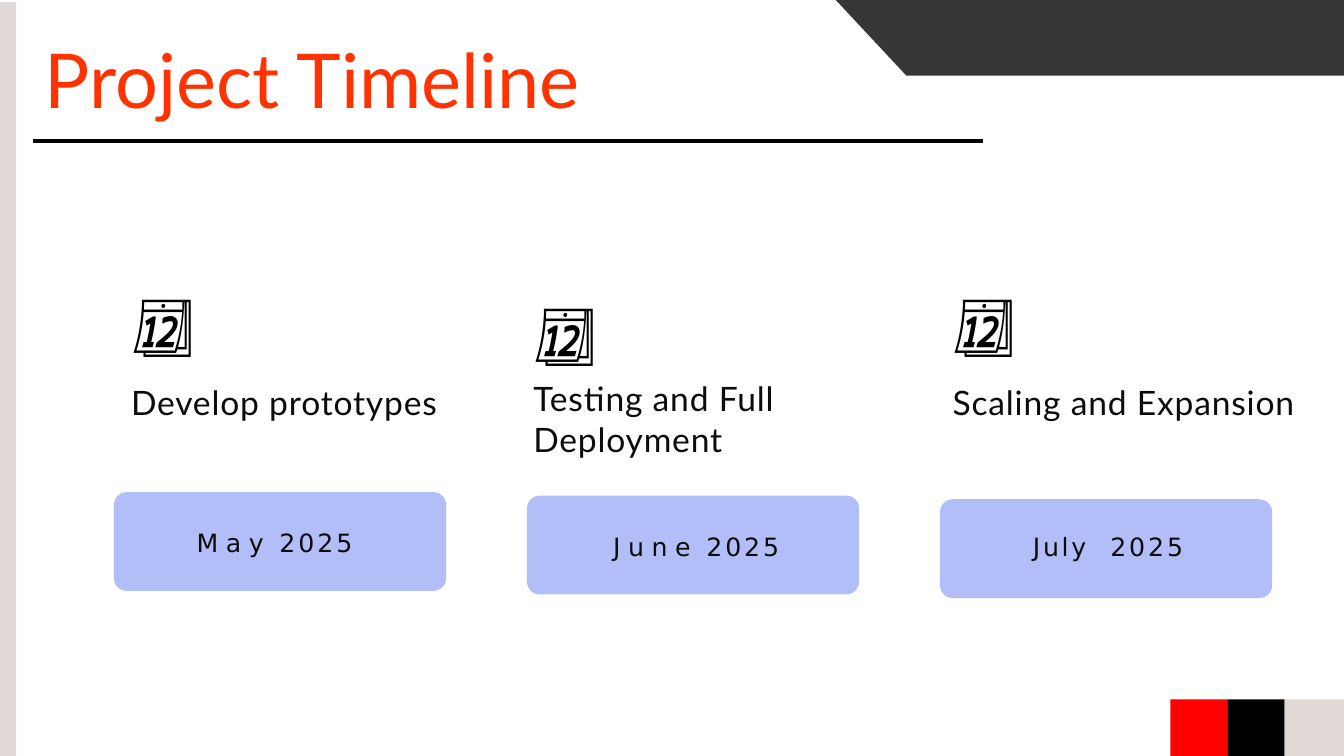
from lxml import etree
from pptx import Presentation, util as u
from pptx.dml.color import RGBColor
from pptx.enum import shapes, text
from pptx.oxml.ns import qn

WIDTH, HEIGHT = u.Inches(13.33), u.Inches(7.5)
INK, CARD, STONE = "0D0C0C", "B2BEF8", "E1D9D6"
CARD_LEFT, CARD_PITCH, CARD_TOP, CARD_STEP = 8.48, 30.73, 65.1, 0.47
SQUARE_LEFT, SQUARE_PITCH = 87.08, 4.25
LEFT, CENTER = text.PP_ALIGN.LEFT, text.PP_ALIGN.CENTER

# label, label box, label line spacing, date runs with tracking, date box, alignment
PHASES = [
    ("Develop prototypes", (9.6, 37.37, 23.56, 18.13), 1.31,
     [("May", 5.4), (" ", 0), ("2025", 2.1)], (14.48, 69.47, 12.38, 4.4), LEFT),
    ("Testing and Full Deployment", (39.53, 38.53, 26.18, 22.4), 1.0,
     [("June", 5.4), (" ", 0), ("2025", 2.1)], (39.53, 70, 24.38, 4.4), CENTER),
    ("Scaling and Expansion", (70.74, 37.37, 26.18, 18.13), 1.31,
     [("July", 1.9), (" ", 9.5), ("2025", 2.1)], (70, 70, 24.75, 4.4), CENTER),
]


def color(value):
    return RGBColor.from_string(value)


def px(percent):
    """Percent of the slide width as a length."""
    return u.Emu(round(WIDTH * percent / 100))


def py(percent):
    """Percent of the slide height as a length."""
    return u.Emu(round(HEIGHT * percent / 100))


def place(x, y, w, h):
    return px(x), py(y), px(w), py(h)


def paint(sp, fill):
    sp.shadow.inherit = False
    sp.fill.solid()
    sp.fill.fore_color.rgb = color(fill)
    sp.line.fill.background()


def add_block(s, box, fill, kind=shapes.MSO_SHAPE.RECTANGLE):
    sp = s.shapes.add_shape(kind, *place(*box))
    paint(sp, fill)
    return sp


def add_banner(s, points, fill):
    (x, y), *rest = [(px(a), py(b)) for a, b in points]
    builder = s.shapes.build_freeform(x, y)
    builder.add_line_segments(rest, close=True)
    paint(builder.convert_to_shape(), fill)


def add_rule(s, x1, x2, y):
    line = s.shapes.add_connector(
        shapes.MSO_CONNECTOR.STRAIGHT, px(x1), py(y), px(x2), py(y))
    line.line.color.rgb = color("000000")
    line.line.width = u.Pt(3)
    etree.SubElement(line._element.spPr, qn("a:effectLst"))


def add_text_frame(s, box):
    """Wrapping text frame with tight margins."""
    tf = s.shapes.add_textbox(*place(*box)).text_frame
    tf.word_wrap = True
    tf.margin_left = tf.margin_top = u.Inches(0.02)
    tf.margin_right = tf.margin_bottom = 0
    return tf


def write(p, runs, font, size, fill):
    """Fill a paragraph with (text, tracking in points) runs."""
    for content, tracking in runs:
        r = p.add_run()
        r.text = content
        r._r.get_or_add_rPr().set("spc", str(round(tracking * 100)))
    p.font.name, p.font.size = font, u.Pt(size)
    p.font.color.rgb = color(fill)


def add_title(s, content):
    tf = s.shapes.add_textbox(*place(2.6, 7.2, 55, 8.4)).text_frame
    tf.word_wrap = True
    p = tf.paragraphs[0]
    p.line_spacing = u.Pt(45.6)
    write(p, [(content, 0)], "Lato", 54, "FF3300")


def add_phase(s, column, label, label_box, spacing, date, date_box, align):
    card = add_block(
        s, (CARD_LEFT + column * CARD_PITCH, CARD_TOP + column * CARD_STEP, 24.72, 13.07),
        CARD, shapes.MSO_SHAPE.ROUNDED_RECTANGLE)
    card.adjustments[0] = 0.13

    p = add_text_frame(s, date_box).paragraphs[0]
    p.alignment = align
    write(p, date, "DejaVu Sans", 18, INK)

    tf = add_text_frame(s, label_box)
    write(tf.paragraphs[0], [("📆", 24.8)], "Cabin", 44.1, "000000")
    p = tf.add_paragraph()
    p.space_before = u.Pt(7.7)
    p.line_spacing = spacing
    write(p, [(label, 0.6)], "Lato", 24, INK)


def main():
    prs = Presentation()
    prs.slide_width, prs.slide_height = WIDTH, HEIGHT
    s = prs.slides.add_slide(prs.slide_layouts[6])

    for column, phase in enumerate(PHASES):
        add_phase(s, column, *phase)

    add_block(s, (0, 0.27, 1.2, 99.73), STONE)
    add_banner(s, [(62.19, 0), (100, 0), (100, 10), (67.44, 10)], "363636")
    add_rule(s, 2.48, 73.14, 18.6)
    add_title(s, "Project Timeline")
    squares = [("FF0000", 4.25), ("000000", 4.25), (STONE, 4.42)]
    for i, (fill, width) in enumerate(squares):
        add_block(s, (SQUARE_LEFT + i * SQUARE_PITCH, 92.5, width, 7.5), fill)

    prs.save("out.pptx")


if __name__ == "__main__":
    main()
